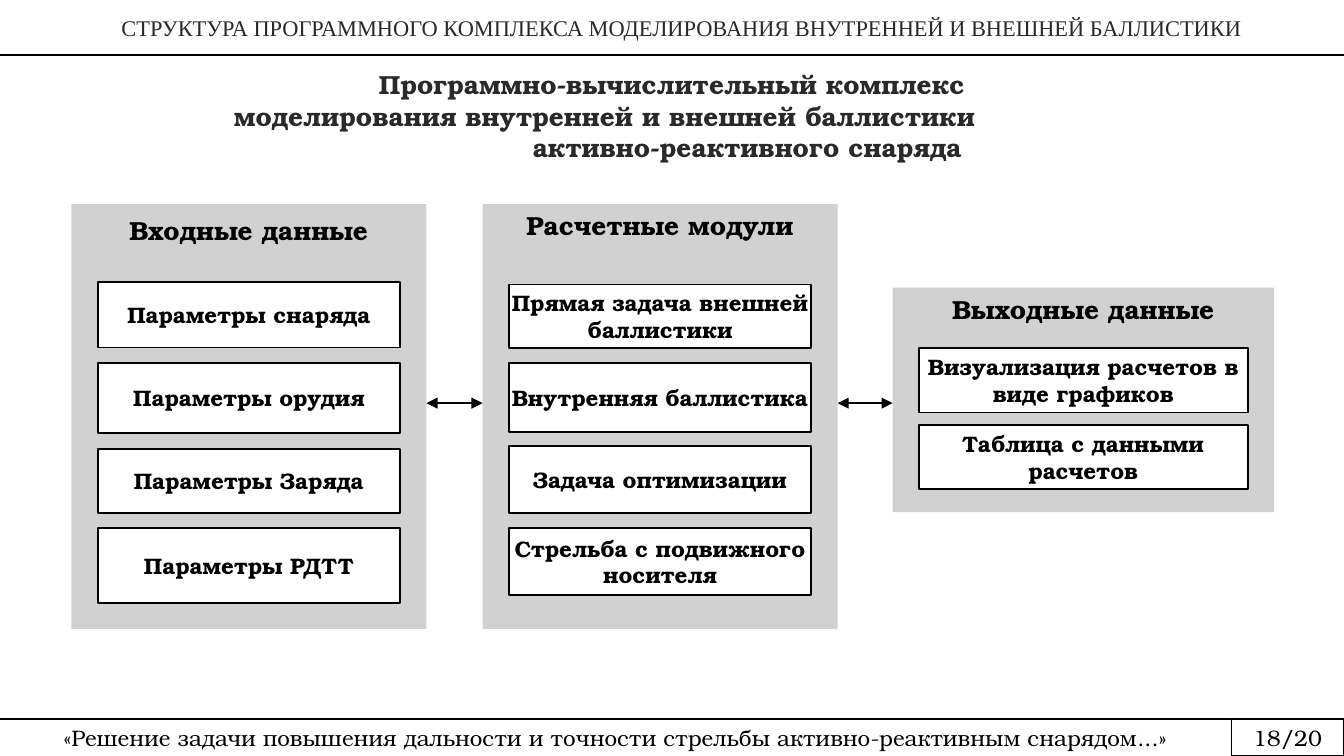
from lxml.etree import SubElement
from pptx import Presentation
from pptx.dml.color import RGBColor
from pptx.enum.shapes import MSO_CONNECTOR, MSO_SHAPE
from pptx.enum.text import MSO_ANCHOR, PP_ALIGN
from pptx.oxml.ns import qn
from pptx.util import Cm, Pt

SERIF, BODY = "Times New Roman", "TeX Gyre Bonum"
BLACK, DARK, WHITE, GRAY = "000000", "292929", "FFFFFF", "A5A5A5"
SLIDE_W, SLIDE_H = 25.4, 14.29
PAD = 0.5  # side gap between a panel and its cards
ARROW_Y = 7.62


def rgb(color):
    return RGBColor.from_string(color)


def write(sp, text, size=12, font=BODY, color=BLACK, bold=False,
          anchor=MSO_ANCHOR.MIDDLE, margins=(0.05, 0.05, 0.05, 0.05)):
    tf = sp.text_frame
    tf.word_wrap = True
    tf.vertical_anchor = anchor
    tf.margin_left, tf.margin_top, tf.margin_right, tf.margin_bottom = map(Cm, margins)
    tf.text = text
    for p in tf.paragraphs:
        p.alignment = PP_ALIGN.CENTER
        for r in p.runs:
            r.font.size, r.font.name, r.font.bold = Pt(size), font, bold
            r.font.color.rgb = rgb(color)
    return tf.paragraphs


def text_box(s, box, text, **style):
    return write(s.shapes.add_textbox(*map(Cm, box)), text, **style)


def rect(s, box, fill, line=None, alpha=None):
    sp = s.shapes.add_shape(MSO_SHAPE.RECTANGLE, *map(Cm, box))
    sp.shadow.inherit = False
    sp.fill.solid()
    sp.fill.fore_color.rgb = rgb(fill)
    if alpha:
        clr = sp.fill._xPr.find(qn("a:solidFill"))[0]
        SubElement(clr, qn("a:alpha"), val=str(alpha * 1000))
    if line:
        sp.line.color.rgb = rgb(BLACK)
        sp.line.width = Pt(line)
    else:
        sp.line.fill.background()
    return sp


def h_line(s, x1, x2, y, arrows=False):
    cn = s.shapes.add_connector(MSO_CONNECTOR.STRAIGHT, Cm(x1), Cm(y), Cm(x2), Cm(y))
    cn.line.color.rgb = rgb(BLACK)
    cn.line.width = Pt(0.75)
    if arrows:
        ln = cn.line._get_or_add_ln()
        for end in ("a:headEnd", "a:tailEnd"):
            SubElement(ln, qn(end), type="triangle")
    SubElement(cn._element.spPr, qn("a:effectLst"))


def header(s, x, y, w, h):
    p = text_box(s, (x, y, w, h), "СТРУКТУРА ПРОГРАММНОГО КОМПЛЕКСА МОДЕЛИРОВАНИЯ "
                 "ВНУТРЕННЕЙ И ВНЕШНЕЙ БАЛЛИСТИКИ",
                 font=SERIF, color=DARK, margins=(0.03,) * 4)[0]
    p._p.get_or_add_pPr().set("indent", str(Cm(0.38)))
    h_line(s, x, x + w, 1.04)


def title(s, x, y, w, h):
    # Each line starts at its own indent
    lines = [("Программно-вычислительный комплекс", 2.74),
             ("моделирования внутренней и внешней баллистики", 0),
             ("активно-реактивного снаряда", 5.65)]
    paragraphs = text_box(s, (x, y, w, h), "\n".join(t for t, _ in lines),
                          size=14, color=DARK, bold=True,
                          anchor=MSO_ANCHOR.TOP, margins=(0.25, 0.13, 0.25, 0.13))
    for p, (_, indent) in zip(paragraphs, lines):
        p.alignment = PP_ALIGN.LEFT
        p._p.get_or_add_pPr().set("marL", str(Cm(indent)))


def panel(s, x, y, w, h, heading, top_margin, cards):
    """Gray panel; each card is (text, offset from the panel top, height)."""
    sp = rect(s, (x, y, w, h), GRAY, alpha=50)
    p = write(sp, heading, size=14, bold=True, anchor=MSO_ANCHOR.TOP,
              margins=(0.05, top_margin, 0.05, 0.05))[0]
    p.space_before, p.space_after = Pt(6), Pt(10)
    for text, dy, card_h in cards:
        card = rect(s, (x + PAD, y + dy, w - 2 * PAD, card_h), WHITE, line=1)
        write(card, text, bold=True)


def footer(s, x, y, w, h):
    number_w = 2.13
    split = x + w - number_w
    margins = (0.18, 0.1, 0.18, 0.1)
    h_line(s, x, split, y)
    text_box(s, (x, y, split - x, h), "«Решение задачи повышения дальности и точности "
             "стрельбы активно-реактивным снарядом...»", margins=margins)
    number = rect(s, (split, y, number_w, h), WHITE, line=0.75)
    write(number, "18/20", margins=margins)


def main():
    prs = Presentation()
    prs.slide_width, prs.slide_height = Cm(SLIDE_W), Cm(SLIDE_H)
    s = prs.slides.add_slide(prs.slide_layouts[6])

    header(s, 0, 0.05, SLIDE_W, 0.94)
    title(s, 4.17, 1.17, 17.09, 2.06)

    # Data flow: input, modules, output
    panels = [
        ((1.35, 3.86, 6.71, 8.03), "Входные данные", 0.2,
         [("Параметры снаряда", 1.47, 1.24), ("Параметры орудия", 3, 1.32),
          ("Параметры Заряда", 4.62, 1.22), ("Параметры РДТТ", 6.12, 1.42)]),
        ((9.12, 3.86, 6.71, 8.03), "Расчетные модули", 0.1,
         [("Прямая задача внешней баллистики", 1.52, 1.2),
          ("Внутренняя баллистика", 3, 1.3), ("Задача оптимизации", 4.57, 1.27),
          ("Стрельба с подвижного носителя", 6.12, 1.27)]),
        ((16.87, 5.44, 7.21, 4.24), "Выходные данные", 0.1,
         [("Визуализация расчетов в виде графиков", 1.14, 1.22),
          ("Таблица с данными расчетов", 2.59, 1.22)]),
    ]
    for box, heading, top_margin, cards in panels:
        panel(s, *box, heading, top_margin, cards)

    # Two-way arrows across the gaps
    boxes = [entry[0] for entry in panels]
    for left, right in zip(boxes, boxes[1:]):
        h_line(s, left[0] + left[2], right[0], ARROW_Y, arrows=True)

    footer(s, 0, 13.59, SLIDE_W, 0.7)
    prs.save("out.pptx")


if __name__ == "__main__":
    main()
